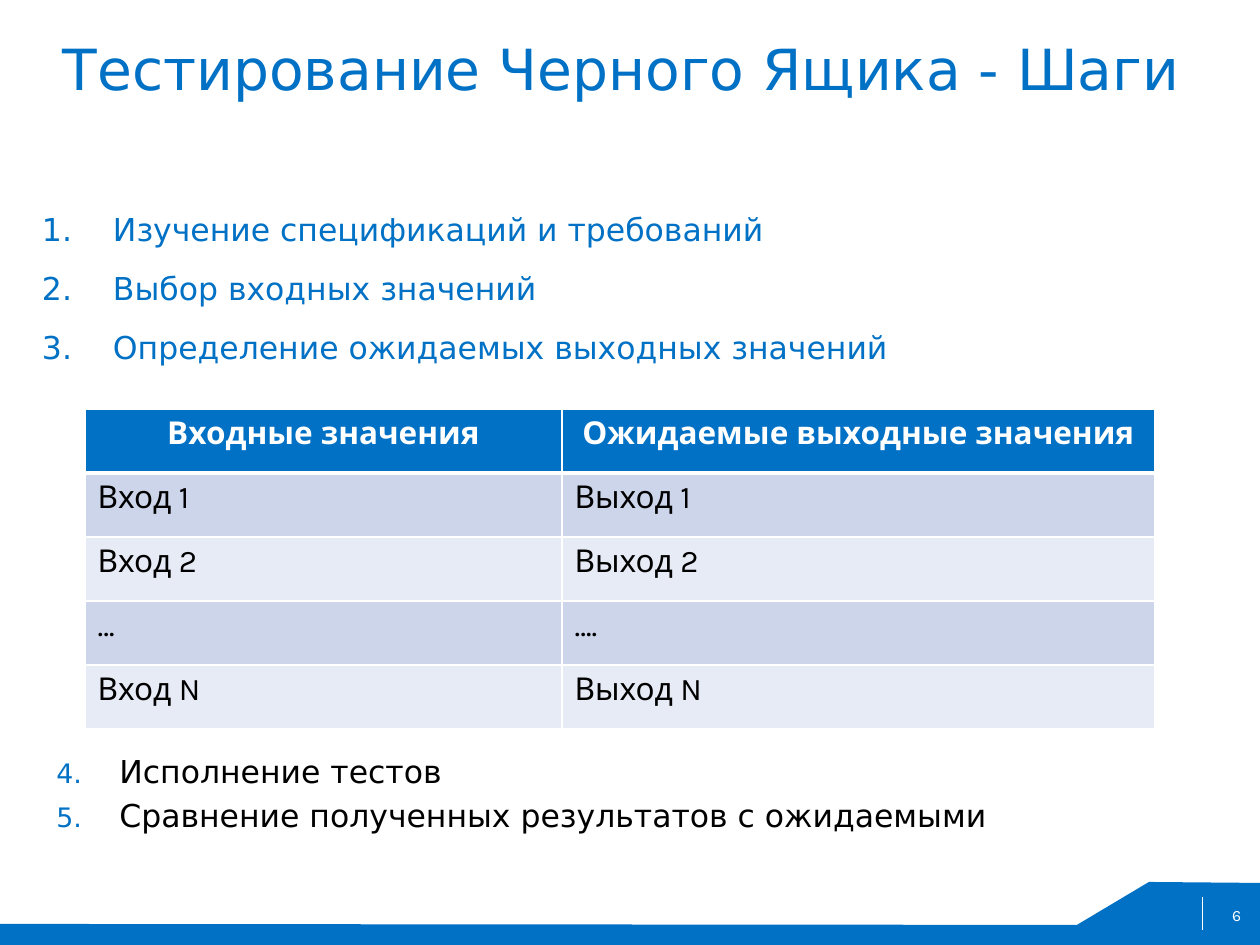
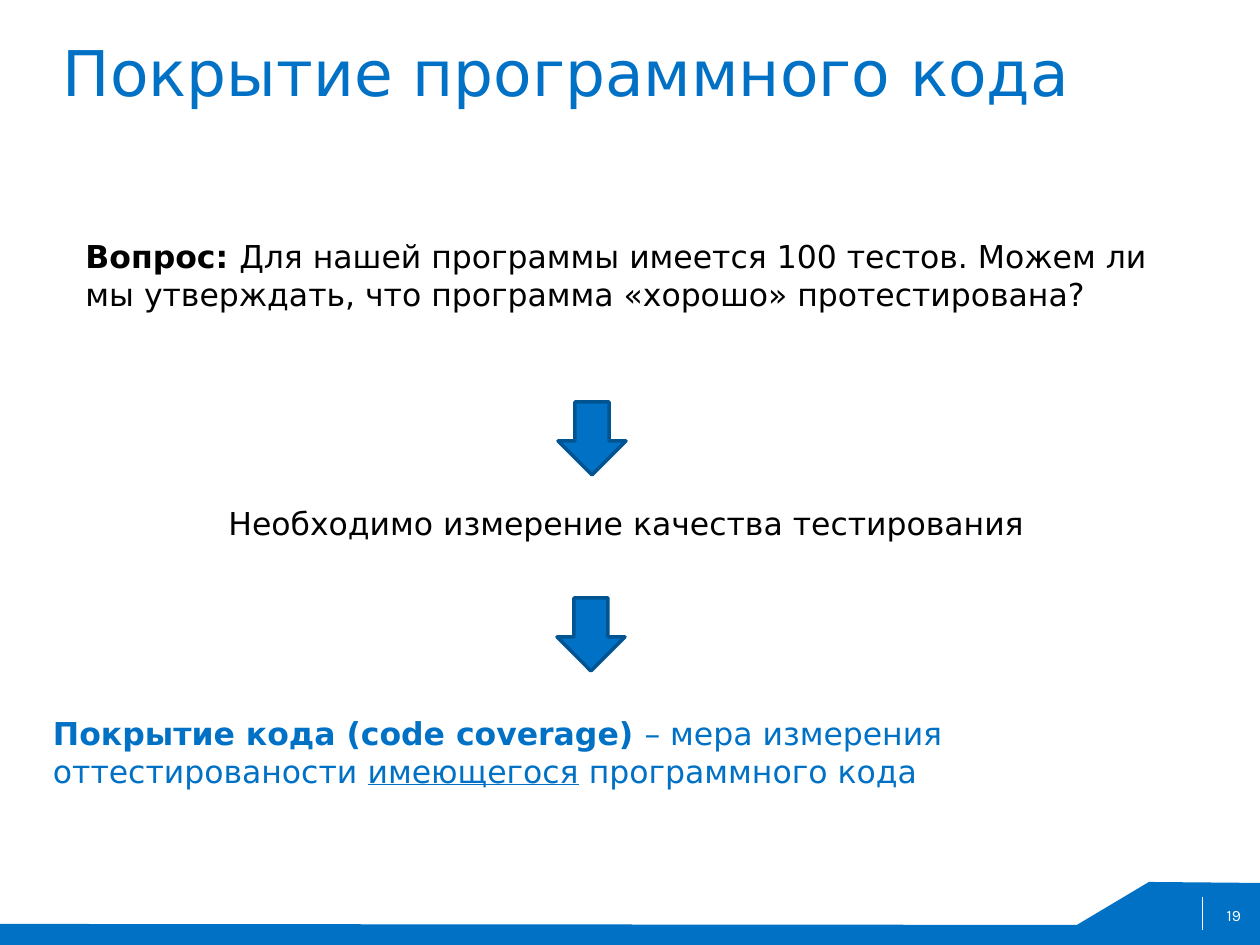
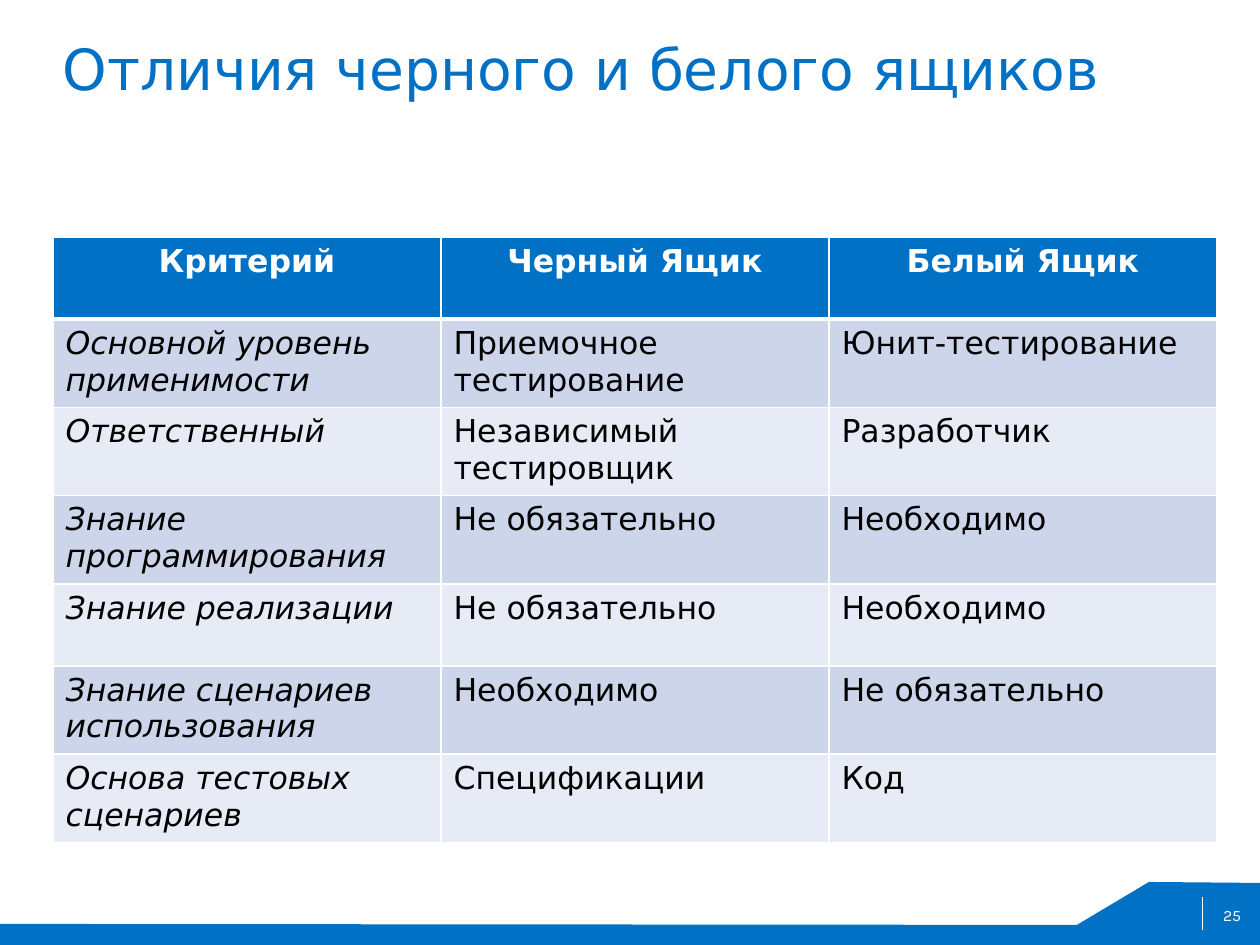
from lxml.etree import SubElement
from pptx import Presentation
from pptx.dml.color import RGBColor
from pptx.enum.shapes import MSO_CONNECTOR, MSO_SHAPE
from pptx.enum.text import MSO_ANCHOR, PP_ALIGN
from pptx.oxml import parse_xml
from pptx.oxml.ns import nsdecls, qn
from pptx.util import Pt

PX = 914400 / 126
BLUE, DARK_BLUE = "0071C5", "005492"
BLACK, WHITE = "000000", "FFFFFF"
BANDS = ("CCD5EA", "E7EBF5")
SANS, KARLA = "DejaVu Sans", "Karla"


def px(n):
    return round(n * PX)


def rgb(value):
    return RGBColor.from_string(value)


class Deck:
    def __init__(self):
        self.prs = Presentation()
        self.prs.slide_width, self.prs.slide_height = px(1260), px(945)
        self.s = None

    def slide(self, title, number, title_size=32.4):
        self.s = self.prs.slides.add_slide(self.prs.slide_layouts[6])
        self.footer(number)
        self.text((63, 34, 1134, 136), [title], margin=0,
                  size=title_size, color=BLUE)

    def footer(self, number):
        # Stepped band along the bottom edge
        fb = self.s.shapes.build_freeform(1261, 883, scale=PX)
        fb.add_line_segments([(1149, 882), (1077, 925), (0, 924),
                              (0, 945), (1261, 945)])
        self.paint(fb.convert_to_shape(), BLUE)
        # Divider and page number
        line = self.s.shapes.add_connector(
            MSO_CONNECTOR.STRAIGHT, px(1202), px(897), px(1202), px(930))
        line.line.color.rgb = rgb(WHITE)
        line.line.width = Pt(0.25)
        SubElement(line._element.spPr, qn("a:effectLst"))
        self.text((948, 890, 293, 50), [str(number)], margin=0,
                  anchor=MSO_ANCHOR.MIDDLE, align=PP_ALIGN.RIGHT,
                  size=9, font=KARLA, color=WHITE)

    def paint(self, sp, fill, line=None):
        sp.shadow.inherit = False
        sp.fill.solid()
        sp.fill.fore_color.rgb = rgb(fill)
        if line:
            sp.line.color.rgb = rgb(line)
            sp.line.width = Pt(2)
        else:
            sp.line.fill.background()

    def arrow(self, x, y):
        sp = self.s.shapes.add_shape(MSO_SHAPE.DOWN_ARROW,
                                     px(x), px(y), px(68), px(73))
        self.paint(sp, BLUE, DARK_BLUE)

    def add_runs(self, p, runs, size=18, font=SANS, color=BLACK,
                 align=PP_ALIGN.LEFT, **marks):
        """Fill a paragraph; runs is a string or a list of (text, marks)."""
        p.alignment = align
        if isinstance(runs, str):
            runs = [(runs, {})]
        for text, own in runs:
            r = p.add_run()
            r.text = text
            r.font.color.rgb = rgb(color)
            values = {"size": Pt(size), "name": font, **marks, **own}
            for name, value in values.items():
                setattr(r.font, name, value)

    def text(self, box, paragraphs, margin=None, anchor=MSO_ANCHOR.TOP,
             before=0, numbering=None, **style):
        tf = self.s.shapes.add_textbox(*map(px, box)).text_frame
        tf.word_wrap = True
        tf.vertical_anchor = anchor
        if margin is not None:
            for side in ("left", "top", "right", "bottom"):
                setattr(tf, "margin_" + side, px(margin))
        for i, runs in enumerate(paragraphs):
            p = tf.add_paragraph() if i else tf.paragraphs[0]
            p.space_before = Pt(before)
            self.add_runs(p, runs, **style)
            if numbering:
                self.number(p, **numbering)

    def number(self, p, indent, start=1, size=100):
        pPr = p._p.get_or_add_pPr()
        pPr.set("marL", str(px(indent)))
        pPr.set("indent", str(-px(indent)))
        color = SubElement(pPr, qn("a:buClr"))
        SubElement(color, qn("a:srgbClr"), val=BLUE)
        SubElement(pPr, qn("a:buSzPct"), val=str(size * 1000))
        SubElement(pPr, qn("a:buAutoNum"), type="arabicPeriod",
                   startAt=str(start))

    def borders(self, cell, row):
        tcPr = cell._tc.get_or_add_tcPr()
        widths = {"L": 1, "R": 1, "T": 3 if row == 1 else 1,
                  "B": 3 if row == 0 else 1}
        for i, (side, width) in enumerate(widths.items()):
            tcPr.insert(i, parse_xml(
                f'<a:ln{side} {nsdecls("a")} w="{Pt(width)}"><a:solidFill>'
                f'<a:srgbClr val="{WHITE}"/></a:solidFill></a:ln{side}>'))

    def table(self, x, y, widths, row_height, rows, font=SANS,
              italic_first=False):
        table = self.s.shapes.add_table(
            len(rows), len(widths), px(x), px(y),
            px(sum(widths)), px(row_height * len(rows))).table
        for col, width in zip(table.columns, widths):
            col.width = px(width)
        for i, values in enumerate(rows):
            table.rows[i].height = px(row_height)
            for j, value in enumerate(values):
                cell = table.cell(i, j)
                cell.fill.solid()
                cell.fill.fore_color.rgb = rgb(BANDS[(i - 1) % 2] if i else BLUE)
                self.borders(cell, i)
                if i:
                    style = {"bold": False, "italic": italic_first and j == 0}
                else:
                    style = {"bold": True, "color": WHITE,
                             "align": PP_ALIGN.CENTER}
                self.add_runs(cell.text_frame.paragraphs[0], value,
                              font=font, **style)


deck = Deck()

# Black box testing steps
deck.slide("Тестирование Черного Ящика - Шаги", 6)
deck.text((42, 210, 1172, 231),
          ["Изучение спецификаций и требований",
           "Выбор входных значений",
           "Определение ожидаемых выходных значений"],
          margin=0, before=12, color=BLUE, numbering={"indent": 71})
deck.table(85, 409, (477, 593), 64, [
    ("Входные значения", "Ожидаемые выходные значения"),
    ("Вход 1", "Выход 1"),
    ("Вход 2", "Выход 2"),
    ("…", "…."),
    ("Вход N", "Выход N"),
], font=KARLA)
deck.text((44, 746, 1172, 147),
          ["Исполнение тестов",
           "Сравнение полученных результатов с ожидаемыми"],
          before=3.6, numbering={"indent": 63, "start": 4, "size": 85})

# Code coverage
deck.slide("Покрытие программного кода", 19, title_size=36)
deck.text((53, 714, 1172, 126), [[
    ("Покрытие кода (code coverage) ", {"bold": True}),
    ("– мера измерения оттестированости ", {}),
    ("имеющегося", {"underline": True}),
    (" программного кода", {}),
]], margin=0, before=12, color=BLUE)
deck.text((73, 231, 1103, 89), [[
    ("Вопрос: ", {"bold": True}),
    ("Для нашей программы имеется 100 тестов. Можем ли мы утверждать, "
     "что программа «хорошо» протестирована?", {}),
]])
deck.arrow(558, 402)
deck.text((91, 498, 1071, 50), ["Необходимо измерение качества тестирования"],
          align=PP_ALIGN.CENTER)
deck.arrow(557, 598)

# Black box against white box
deck.slide("Отличия черного и белого ящиков", 25)
deck.table(53, 237, (388, 388, 388), 82, [
    ("Критерий", "Черный Ящик", "Белый Ящик"),
    ("Основной уровень применимости", "Приемочное тестирование",
     "Юнит-тестирование"),
    ("Ответственный", "Независимый тестировщик", "Разработчик"),
    ("Знание программирования", "Не обязательно", "Необходимо"),
    ("Знание реализации", "Не обязательно", "Необходимо"),
    ("Знание сценариев использования", "Необходимо", "Не обязательно"),
    ("Основа тестовых сценариев", "Спецификации", "Код"),
], italic_first=True)

deck.prs.save("out.pptx")
